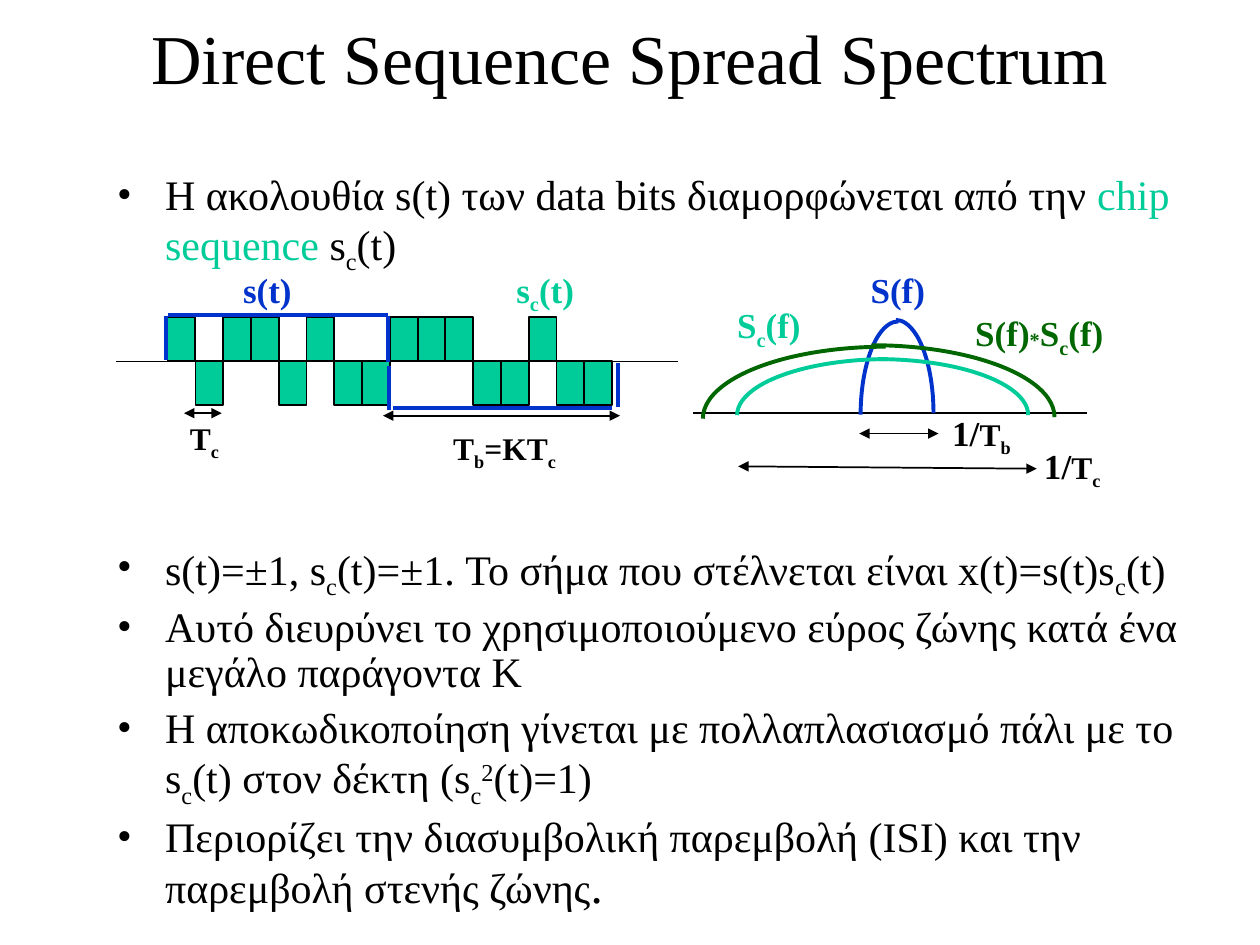
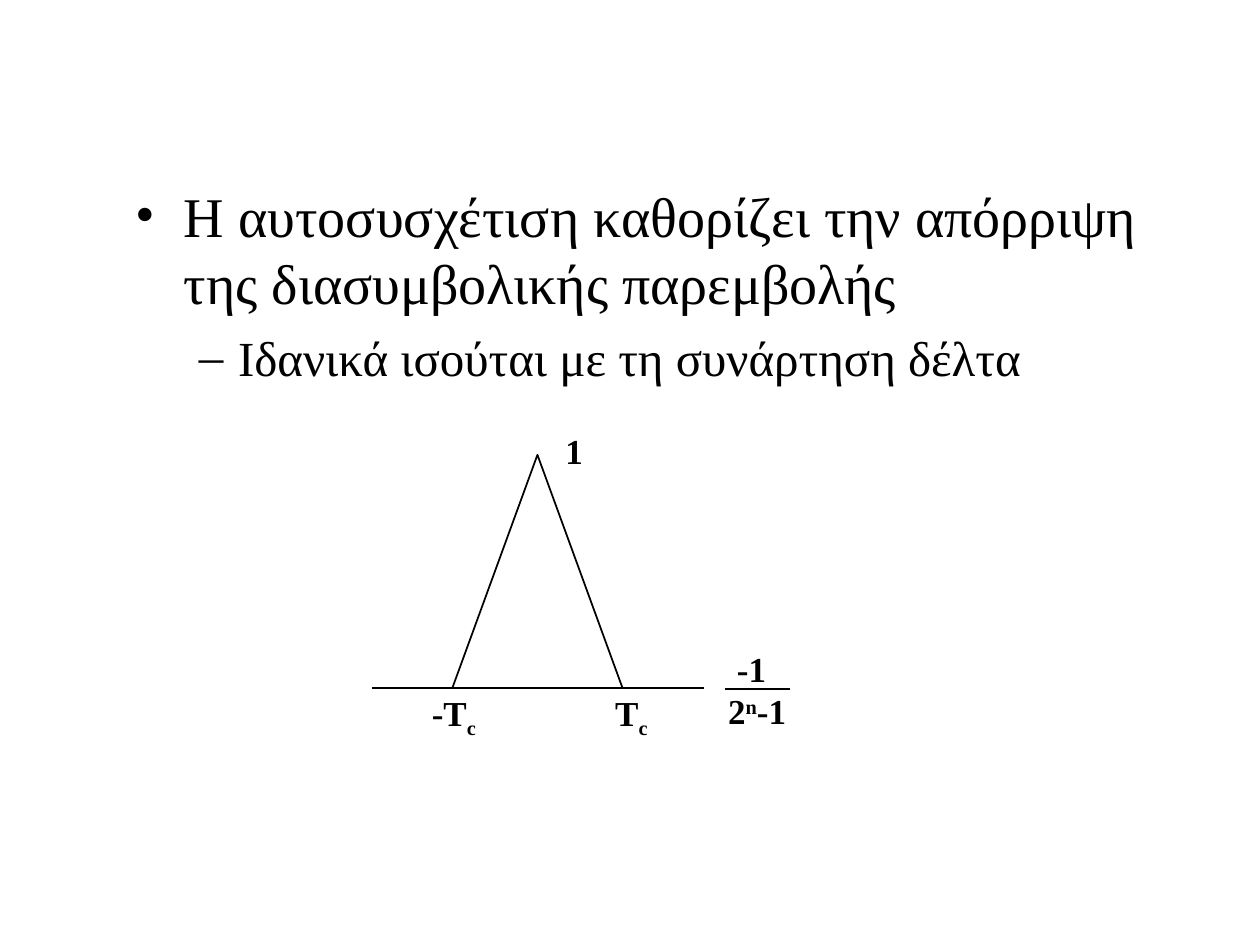
from lxml import etree
from pptx import Presentation
from pptx.dml.color import RGBColor
from pptx.enum.shapes import MSO_CONNECTOR, MSO_SHAPE
from pptx.enum.text import MSO_ANCHOR, MSO_AUTO_SIZE, PP_ALIGN
from pptx.oxml.ns import qn
from pptx.util import Cm, Pt

STRAIGHT = MSO_CONNECTOR.STRAIGHT
RECTANGLE, ARC, PEAK = MSO_SHAPE.RECTANGLE, MSO_SHAPE.ARC, MSO_SHAPE.FLOWCHART_EXTRACT
BOTTOM, TOP = MSO_ANCHOR.BOTTOM, MSO_ANCHOR.TOP
CENTER = PP_ALIGN.CENTER
FIT_TEXT, FIXED = MSO_AUTO_SIZE.SHAPE_TO_FIT_TEXT, MSO_AUTO_SIZE.NONE

FONT = "Times New Roman"
BLACK, BLUE, TEAL, GREEN = "000000", "0033CC", "00CC99", "006600"
THIN, AXIS, THICK = 1, 1.5, 2.25
LABEL_SLACK = 0.12
SUB, SUP, STAR = {"base": -25}, {"base": 30}, {"base": -4}
SMALL = {"size": 18}
SMALL_SUB = {**SMALL, **SUB}
C = ("c", SUB)

TITLE = "Direct Sequence Spread Spectrum"
SIGNAL_POINTS = [
    {"size": 24, "before": 6, "spans": [
        "Η ακολουθία s(t) των data bits διαμορφώνεται από την ",
        ("chip sequence ", {"color": TEAL}), "s", C, "(t)"]},
    {"size": 24, "before": 156, "spans": [
        "s(t)=±1, s", C, "(t)=±1. Το σήμα που στέλνεται είναι x(t)=s(t)s", C, "(t)"]},
    {"size": 24, "before": 6, "spans": [
        "Αυτό διευρύνει το χρησιμοποιούμενο εύρος ζώνης κατά ένα μεγάλο παράγοντα K"]},
    {"size": 24, "before": 6, "spans": [
        "Η αποκωδικοποίηση γίνεται με πολλαπλασιασμό πάλι με το s", C,
        "(t) στον δέκτη (s", C, ("2", SUP), "(t)=1)"]},
    {"size": 24, "before": 7, "spans": [
        "Περιορίζει την διασυμβολική παρεμβολή (ISI) και την παρεμβολή στενής ζώνης",
        (".", {"size": 28})]},
]
CORRELATION_POINTS = [
    {"size": 32, "before": 8, "spans": [
        "Η αυτοσυσχέτιση καθορίζει την απόρριψη της διασυμβολικής παρεμβολής"]},
    {"size": 28, "before": 7, "level": 1, "spans": [
        "Ιδανικά ισούται με τη συνάρτηση δέλτα"]},
]
BULLETS = [("•", 0.97, -0.97), ("–", 2.06, -0.79)]

CHIPS = "+-++-+--+++--+--"
CHIP_LEFT, CHIP_STEP, CHIP_WIDTH, CHIP_HEIGHT = 3.38, 0.56, 0.56, 0.89
CHIP_TOPS = {"+": 6.39, "-": 7.28}
SIGNAL_AXES = [(2.34, 7.29, 13.67, 7.29), (13.97, 8.33, 21.92, 8.33)]
DATA_BITS = [
    (3.38, 6.35, 7.82, 6.35), (3.35, 6.38, 3.35, 7.26), (7.82, 6.38, 7.82, 7.29),
    (7.92, 8.23, 12.34, 8.23), (12.45, 7.32, 12.45, 8.2), (7.85, 7.37, 7.85, 8.26),
]
SPANS_OF_TIME_AND_BAND = [
    (7.72, 8.38, 12.5, 8.38), (3.71, 8.33, 4.47, 8.33),
    (17.32, 8.74, 18.92, 8.74), (14.88, 9.4, 20.9, 9.45),
]
SPECTRA = [
    (BLUE, (17.3, 6.45), (17.35, 6.48), (1.52, 3.76)),
    (TEAL, (14.66, 7.24), (14.86, 7.24), (6.07, 2.26)),
    (GREEN, (13.89, 6.96), (14.17, 6.99), (7.37, 2.9)),
]
SIGNAL_LABELS = [
    (4.65, 5.28, 1.47, 1.12, BLUE, [["s(t)"]]),
    (10.16, 5.28, 1.68, 1.22, TEAL, [["s", C, "(t)"]]),
    (8.71, 8.46, 2.74, 1.19, BLACK,
     [[" ", ("T", SMALL), ("b", SMALL_SUB), ("=KT", SMALL), ("c", SMALL_SUB)]]),
    (3.4, 8.26, 1.27, 1.19, BLACK, [[" ", ("T", SMALL), ("c", SMALL_SUB)]]),
    (17.3, 5.28, 1.6, 1.12, BLUE, [["S(f)"]]),
    (14.61, 5.99, 1.78, 1.22, TEAL, [["S", C, "(f)"]]),
    (18.77, 8.18, 1.85, 1.19, BLACK, [[" 1/", ("T", SMALL), ("b", SMALL_SUB)]]),
    (20.62, 8.84, 1.8, 1.19, BLACK, [[" 1/", ("T", SMALL), ("c", SMALL_SUB)]]),
    (19.41, 6.15, 3.1, 1.22, GREEN, [["S(f)", ("*", STAR), "S", C, "(f)"]]),
]
CORRELATION_LINES = [
    ((7.49, 13.87, 14.2, 13.87), AXIS),
    ((14.61, 13.89, 15.93, 13.89), THIN),
]
CORRELATION_LABELS = [
    (11.15, 8.53, 0.86, 1.12, BLACK, [["1"]]),
    (14.43, 12.93, 1.68, 1.96, BLACK, [[" -1"], ["2", ("n", SUP), "-1"]]),
    (11.99, 13.82, 1.32, 1.22, BLACK, [[" T", C]]),
    (8.28, 13.82, 1.57, 1.22, BLACK, [[" -T", C]]),
]


def rgb(code):
    return RGBColor.from_string(code)


def add_element(parent, tag, **attributes):
    return etree.SubElement(parent, qn(tag), attributes)


def write_spans(paragraph, spans, size, color=BLACK, bold=False):
    for span in spans:
        text, style = (span, {}) if isinstance(span, str) else span
        run = paragraph.add_run()
        run.text = text
        run.font.name = FONT
        run.font.size = Pt(style.get("size", size))
        run.font.bold = bold
        run.font.color.rgb = rgb(style.get("color", color))
        if "base" in style:
            run.font._element.set("baseline", str(style["base"] * 1000))


def add_box(page, left, top, width, height, wrap=True, anchor=TOP):
    box = page.shapes.add_textbox(Cm(left), Cm(top), Cm(width), Cm(height))
    frame = box.text_frame
    frame.word_wrap = wrap
    frame.auto_size = FIXED if wrap else FIT_TEXT
    frame.vertical_anchor = anchor
    return frame


def paragraphs_for(frame, items):
    for index, item in enumerate(items):
        yield frame.add_paragraph() if index else frame.paragraphs[0], item


def add_title(page, text):
    paragraph = add_box(page, 0, 0, 25.4, 2.11, anchor=BOTTOM).paragraphs[0]
    paragraph.alignment = CENTER
    write_spans(paragraph, [text], 40)


def add_bullets(page, place, points, spacing):
    for paragraph, point in paragraphs_for(add_box(page, *place), points):
        level = point.get("level", 0)
        mark, margin, indent = BULLETS[level]
        paragraph.level = level
        paragraph.line_spacing = spacing
        paragraph.space_before = Pt(point["before"])
        properties = paragraph._p.get_or_add_pPr()
        properties.set("marL", str(Cm(margin)))
        properties.set("indent", str(Cm(indent)))
        add_element(add_element(properties, "a:buClr"), "a:srgbClr", val=BLACK)
        add_element(properties, "a:buFont", typeface=FONT)
        add_element(properties, "a:buChar", char=mark)
        write_spans(paragraph, point["spans"], point["size"])


def add_labels(page, labels):
    for left, top, width, height, color, rows in labels:
        frame = add_box(page, left, top, width + LABEL_SLACK, height, wrap=False)
        for paragraph, spans in paragraphs_for(frame, rows):
            write_spans(paragraph, spans, 20, color, bold=True)


def add_line(page, ends, color=BLACK, weight=THIN, arrows=False):
    line = page.shapes.add_connector(STRAIGHT, *(Cm(value) for value in ends))
    line.line.color.rgb = rgb(color)
    line.line.width = Pt(weight)
    if arrows:
        outline = line.line._get_or_add_ln()
        for tag in ("a:headEnd", "a:tailEnd"):
            add_element(outline, tag, type="triangle")
    add_element(line._element.spPr, "a:effectLst")


def add_figure(page, kind, place, line=BLACK, weight=THIN, fill=None):
    shape = page.shapes.add_shape(kind, *(Cm(value) for value in place))
    shape.shadow.inherit = False
    shape.line.color.rgb = rgb(line)
    shape.line.width = Pt(weight)
    if fill:
        shape.fill.solid()
        shape.fill.fore_color.rgb = rgb(fill)
    else:
        shape.fill.background()
    return shape


def build_signal_page(page):
    add_title(page, TITLE)
    add_bullets(page, (2.11, 3.38, 21.88, 11.43), SIGNAL_POINTS, 0.9)
    for ends in SIGNAL_AXES:
        add_line(page, ends)
    for index, sign in enumerate(CHIPS):
        left = CHIP_LEFT + index * CHIP_STEP
        add_figure(page, RECTANGLE, (left, CHIP_TOPS[sign], CHIP_WIDTH, CHIP_HEIGHT), fill=TEAL)
    for ends in DATA_BITS:
        add_line(page, ends, BLUE, THICK)
    for ends in SPANS_OF_TIME_AND_BAND:
        add_line(page, ends, arrows=True)
    for color, right_half, left_half, size in SPECTRA:
        add_figure(page, ARC, right_half + size, color, THICK)
        rising = add_figure(page, ARC, left_half + size, color, THICK)
        rising.adjustments[0] = 108
        rising.adjustments[1] = 162
    add_labels(page, SIGNAL_LABELS)


def build_correlation_page(page):
    add_bullets(page, (2.49, 3.53, 20.78, 11.71), CORRELATION_POINTS, 1.0)
    for ends, weight in CORRELATION_LINES:
        add_line(page, ends, weight=weight)
    add_figure(page, PEAK, (9.12, 9.17, 3.43, 4.7))
    add_labels(page, CORRELATION_LABELS)


deck = Presentation()
deck.slide_width, deck.slide_height = Cm(25.4), Cm(19.05)
for build in (build_signal_page, build_correlation_page):
    build(deck.slides.add_slide(deck.slide_layouts[6]))
deck.save("out.pptx")
